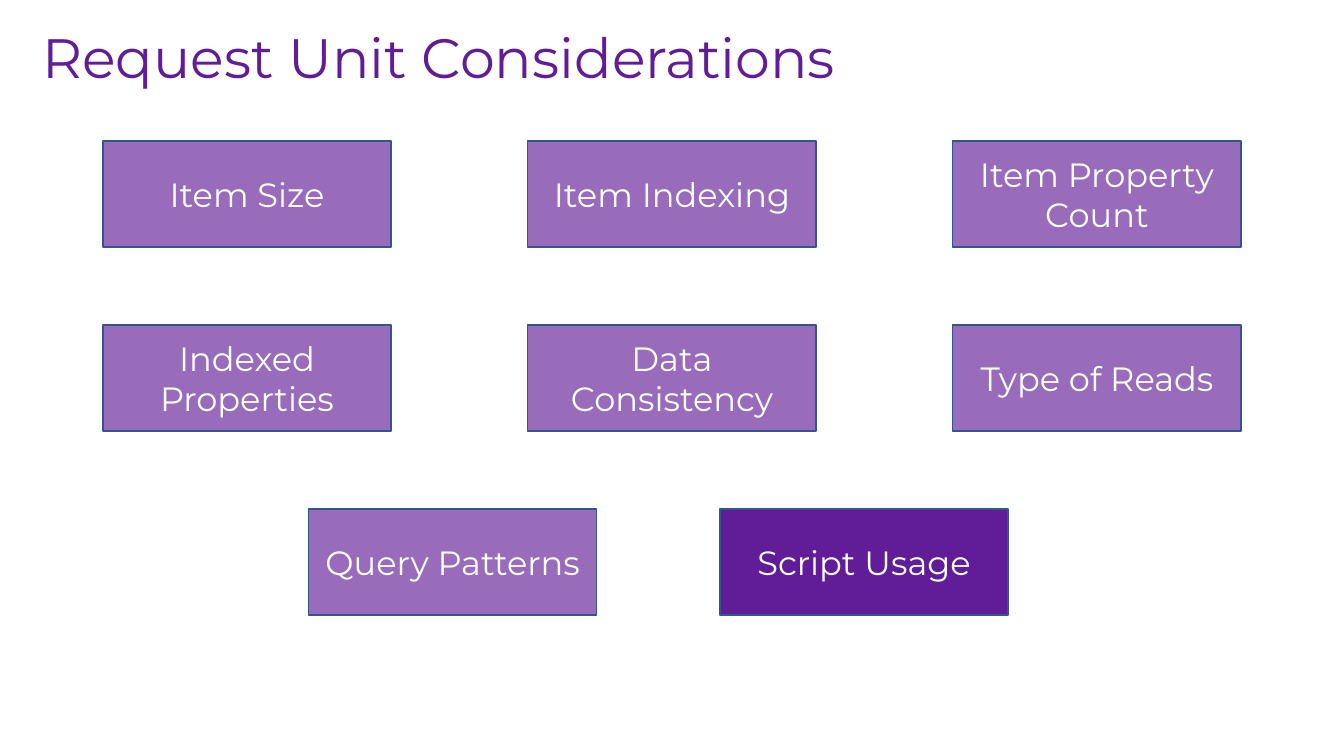
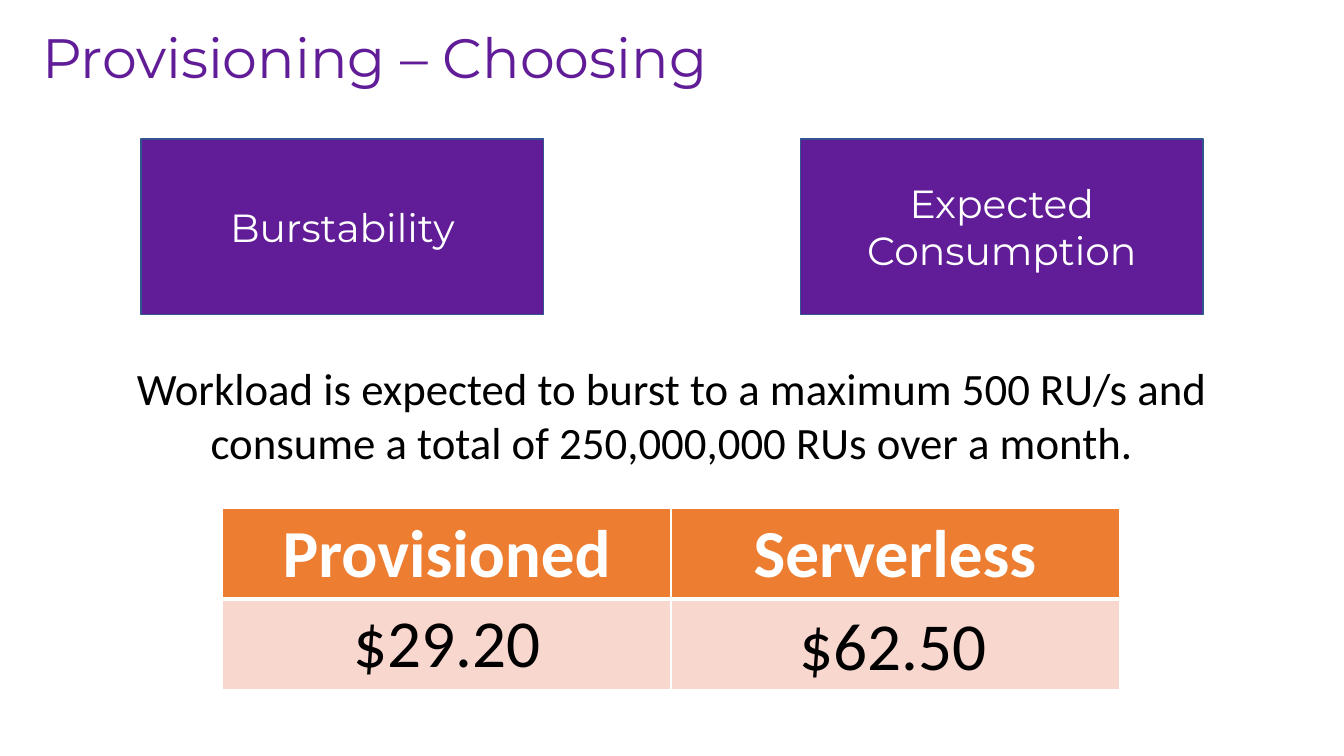
import pptx
import pptx.util
import pptx.dml.color
import pptx.enum.shapes
import pptx.enum.text
import pptx.oxml
import pptx.oxml.ns

Inches, Pt = pptx.util.Inches, pptx.util.Pt
MIDDLE = pptx.enum.text.MSO_ANCHOR.MIDDLE
CENTER = pptx.enum.text.PP_ALIGN.CENTER

COLORS = {
    "purple": "611C97",
    "outline": "325491",
    "white": "FFFFFF",
    "black": "000000",
    "orange": "ED7D31",
    "peach": "F8D7CE",
}
HEADING_FONT, BODY_FONT = "Montserrat", "Calibri"
FADED = 65  # opacity in percent of considerations already covered

CONSIDERATIONS_TITLE = "Request Unit Considerations"
# Each row: left of first box, step to the next box, labels
CONSIDERATION_ROWS = [
    (1.02, 4.215, ["Item Size", "Item Indexing", "Item Property Count"]),
    (1.02, 4.215, ["Indexed Properties", "Data Consistency", "Type of Reads"]),
    (3.06, 4.08, ["Query Patterns", "Script Usage"]),
]
CURRENT_CONSIDERATION = "Script Usage"

CHOOSING_TITLE = "Provisioning – Choosing"
FACTORS = ["Burstability", "Expected Consumption"]
WORKLOAD = ("Workload is expected to burst to a maximum 500 RU/s and "
            "consume a total of 250,000,000 RUs over a month.")
# The serverless price is a text box of its own over the empty cell
COSTS = [["Provisioned", "Serverless"], ["$29.20", ""]]
SERVERLESS_PRICE = "$62.50"
# Fill, text colour, weight and thick border of the header and price rows
COST_STYLES = [("orange", "white", True, "lnB"),
               ("peach", "black", False, "lnT")]


def rgb(name):
    return pptx.dml.color.RGBColor.from_string(COLORS[name])


def write(frame, text, size, font, color, align=None, bold=False):
    paragraph = frame.paragraphs[0]
    paragraph.text = text
    paragraph.alignment = align
    paragraph.font.size = Pt(size)
    paragraph.font.name = font
    paragraph.font.bold = bold
    paragraph.font.color.rgb = rgb(color)
    return paragraph


def add_text(slide, box, *style, **options):
    frame = slide.shapes.add_textbox(*map(Inches, box)).text_frame
    frame.word_wrap = True
    return frame, write(frame, *style, **options)


def add_titled_slide(prs, title):
    slide = prs.slides.add_slide(prs.slide_layouts[6])
    frame, paragraph = add_text(slide, (0.32, 0.23, 12.66, 0.74),
                                title, 39.6, HEADING_FONT, "purple")
    frame.vertical_anchor = MIDDLE
    paragraph.line_spacing = 0.9
    return slide


def add_box(slide, box, label, size, opacity=100):
    shape = slide.shapes.add_shape(
        pptx.enum.shapes.MSO_SHAPE.RECTANGLE, *map(Inches, box))
    shape.shadow.inherit = False
    shape.fill.solid()
    shape.fill.fore_color.rgb = rgb("purple")
    if opacity < 100:
        color = shape.fill._xPr.find(".//" + pptx.oxml.ns.qn("a:srgbClr"))
        alpha = pptx.oxml.parse_xml(
            f'<a:alpha {pptx.oxml.ns.nsdecls("a")} val="{opacity * 1000}"/>')
        color.append(alpha)
    shape.line.color.rgb = rgb("outline")
    shape.line.width = Pt(1)
    shape.text_frame.word_wrap = True
    shape.text_frame.vertical_anchor = MIDDLE
    write(shape.text_frame, label, size, HEADING_FONT, "white", CENTER)


def add_border(cell, side, width):
    border = pptx.oxml.parse_xml(
        f'<a:{side} {pptx.oxml.ns.nsdecls("a")} w="{Pt(width)}"><a:solidFill>'
        f'<a:srgbClr val="{COLORS["white"]}"/></a:solidFill></a:{side}>')
    cell._tc.get_or_add_tcPr().insert(0, border)


def add_costs(slide):
    table = slide.shapes.add_table(
        len(COSTS), len(COSTS[0]),
        *map(Inches, (2.21, 5.04, 8.89, 1.8))).table
    table.horz_banding = False
    for r, (row, style) in enumerate(zip(COSTS, COST_STYLES)):
        fill, color, bold, thick_side = style
        for c, text in enumerate(row):
            cell = table.cell(r, c)
            cell.fill.solid()
            cell.fill.fore_color.rgb = rgb(fill)
            add_border(cell, thick_side, 3)
            if text:
                write(cell.text_frame, text, 48, BODY_FONT, color, CENTER, bold)
    add_text(slide, (7.76, 5.94, 2.2, 0.91),
             SERVERLESS_PRICE, 48, BODY_FONT, "black", align=CENTER)


def build_considerations(prs):
    slide = add_titled_slide(prs, CONSIDERATIONS_TITLE)
    for row, (left, step, labels) in enumerate(CONSIDERATION_ROWS):
        for column, label in enumerate(labels):
            box = (left + column * step, 1.4 + row * 1.825, 2.86, 1.05)
            opacity = 100 if label == CURRENT_CONSIDERATION else FADED
            add_box(slide, box, label, 24, opacity)


def build_choosing(prs):
    slide = add_titled_slide(prs, CHOOSING_TITLE)
    for column, factor in enumerate(FACTORS):
        add_box(slide, (1.4 + column * 6.54, 1.38, 3.99, 1.74), factor, 28)
    add_text(slide, (0.65, 3.53, 12.03, 1.18),
             WORKLOAD, 32, BODY_FONT, "black", align=CENTER)
    add_costs(slide)


def main():
    prs = pptx.Presentation()
    prs.slide_width, prs.slide_height = Inches(13.33), Inches(7.5)
    build_considerations(prs)
    build_choosing(prs)
    prs.save("out.pptx")


if __name__ == "__main__":
    main()
